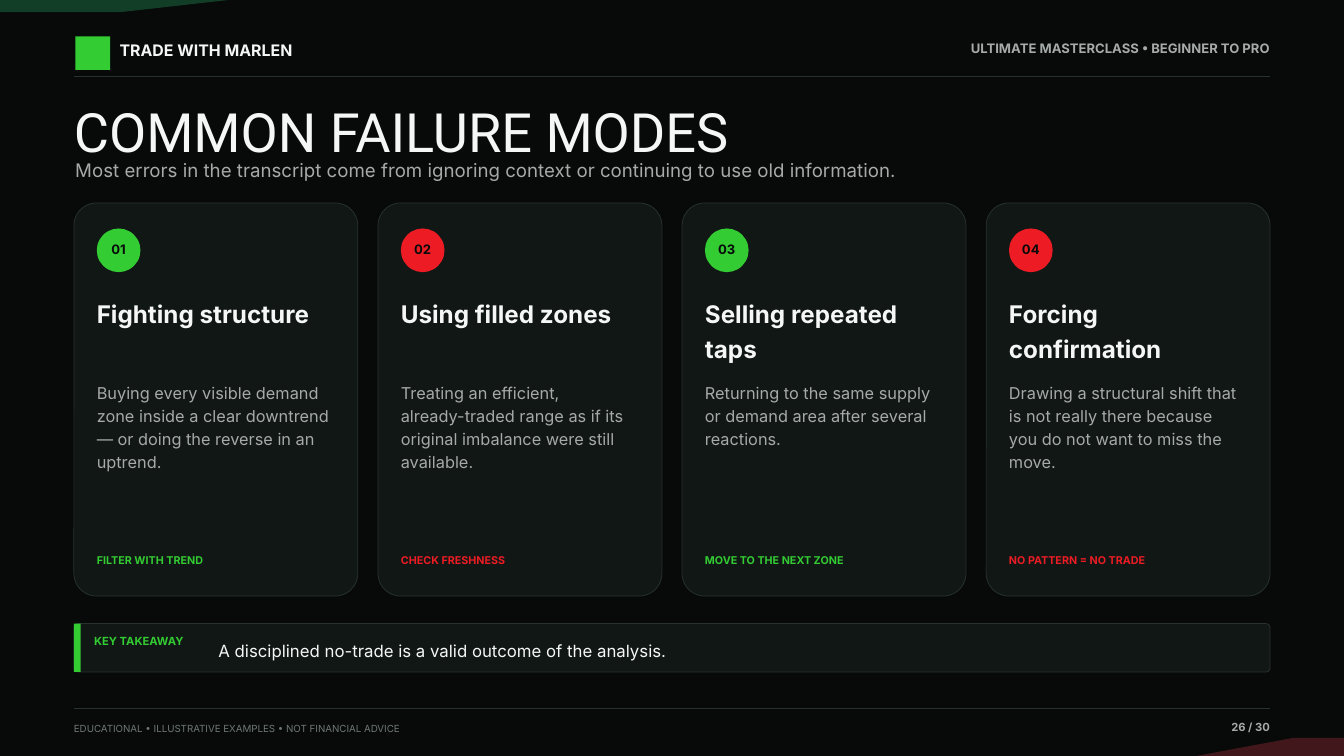
from lxml import etree
from pptx import Presentation, util as u
from pptx.dml.color import RGBColor
from pptx.enum import shapes, text
from pptx.oxml.ns import qn

COLS, ROWS = 20, 11.25
UNIT = u.Inches(1)
LEFT, RIGHT = 1.1, 18.9
WIDTH = RIGHT - LEFT
GAP, PAD = 0.3, 0.34
CARD_W = (WIDTH - 3 * GAP) / 4
CARD_TOP, CARD_H = 3.02, 5.85

INK, PANEL, RULE = "070A09", "111715", "28332E"
WHITE, GREY, DIM = "F5F7F6", "A6AAA8", "6F7873"
GREEN, RED = "33CC33", "ED1C24"
ALIGN, KIND = text.PP_ALIGN, shapes.MSO_SHAPE

CARDS = [
    ("Fighting structure",
     "Buying every visible demand\nzone inside a clear downtrend\n— or doing the reverse in an\nuptrend.",
     "FILTER WITH TREND"),
    ("Using filled zones",
     "Treating an efficient,\nalready-traded range as if its\noriginal imbalance were still\navailable.",
     "CHECK FRESHNESS"),
    ("Selling repeated\ntaps",
     "Returning to the same supply\nor demand area after several\nreactions.",
     "MOVE TO THE NEXT ZONE"),
    ("Forcing\nconfirmation",
     "Drawing a structural shift that\nis not really there because\nyou do not want to miss the\nmove.",
     "NO PATTERN = NO TRADE"),
]


def grid(*cells):
    return [u.Emu(round(c * UNIT)) for c in cells]


def rgb(value):
    return RGBColor.from_string(value)


def paint(sp, fill, line=None):
    sp.shadow.inherit = False
    sp.fill.solid()
    sp.fill.fore_color.rgb = rgb(fill)
    if line:
        sp.line.color.rgb = rgb(line)
        sp.line.width = u.Pt(0.8)
    else:
        sp.line.fill.background()


def add_block(s, kind, x, y, w, h, fill, line=None):
    sp = s.shapes.add_shape(kind, *grid(x, y, w, h))
    if kind == KIND.ROUNDED_RECTANGLE:
        sp.adjustments[0] = 0.08
    paint(sp, fill, line)


def add_corner(s, points, fill):
    points = [grid(*point) for point in points]
    builder = s.shapes.build_freeform(*points[0])
    builder.add_line_segments(points[1:], close=True)
    paint(builder.convert_to_shape(), fill)


def add_rule(s, y):
    c = s.shapes.add_connector(shapes.MSO_CONNECTOR.STRAIGHT, *grid(LEFT, y, RIGHT, y))
    c.line.color.rgb = rgb(RULE)
    c.line.width = u.Pt(0.8)
    etree.SubElement(c._element.spPr, qn("a:effectLst"))


def add_text(s, words, x, y, w, h, size, color, bold=False, align=ALIGN.LEFT,
             font="Inter", spacing=1.18, anchor=text.MSO_ANCHOR.TOP):
    tf = s.shapes.add_textbox(*grid(x, y, w, h)).text_frame
    tf.margin_left = tf.margin_right = tf.margin_top = tf.margin_bottom = 0
    tf.word_wrap = False
    tf.auto_size = text.MSO_AUTO_SIZE.SHAPE_TO_FIT_TEXT
    tf.vertical_anchor = anchor
    tf.text = words
    for p in tf.paragraphs:
        p.alignment = align
        p.line_spacing = spacing
        for r in p.runs:
            r.font.name = font
            r.font.size = u.Pt(size)
            r.font.bold = bold
            r.font.color.rgb = rgb(color)


def add_card(s, i, title, body, action):
    x = LEFT + i * (CARD_W + GAP)
    inner, w = x + PAD, CARD_W - 2 * PAD
    accent = RED if i % 2 else GREEN
    add_block(s, KIND.ROUNDED_RECTANGLE, x, CARD_TOP, CARD_W, CARD_H, PANEL, RULE)
    add_block(s, KIND.OVAL, inner, 3.4, 0.65, 0.65, accent)
    add_text(s, f"{i + 1:02}", inner + 0.02, 3.55, 0.61, 0.25, 14, INK, True, ALIGN.CENTER)
    add_text(s, title, inner, 4.38, w, 1.02, 26, WHITE, True)
    add_text(s, body, inner, 5.65, w, 2.3, 17.5, GREY)
    add_text(s, action, inner, 8.2, w, 0.3, 11.5, accent, True)


def add_frame(s):
    add_block(s, KIND.RECTANGLE, 0, 0, COLS, ROWS, INK)
    add_corner(s, [(0, 0), (3.4, 0), (1.8, 0.18), (0, 0.18)], "123D26")
    add_corner(s, [(COLS, ROWS), (17.8, ROWS), (19.25, 10.98), (COLS, 10.98)], "42171B")
    add_block(s, KIND.RECTANGLE, 1.12, 0.54, 0.52, 0.5, GREEN)
    add_text(s, "TRADE WITH MARLEN", 1.78, 0.56, 3.9, 0.34, 17, WHITE, True)
    add_text(s, "ULTIMATE MASTERCLASS • BEGINNER TO PRO", RIGHT - 4.9, 0.56, 4.9, 0.32,
             14, GREY, True, ALIGN.RIGHT)
    add_rule(s, 1.13)
    add_rule(s, 10.54)
    add_text(s, "EDUCATIONAL • ILLUSTRATIVE EXAMPLES • NOT FINANCIAL ADVICE",
             LEFT, 10.72, 8, 0.25, 10.5, DIM)
    add_text(s, "26 / 30", RIGHT - 1.7, 10.68, 1.7, 0.28, 12, GREY, True, ALIGN.RIGHT)


def add_takeaway(s):
    y, h = 9.28, 0.72
    add_block(s, KIND.ROUNDED_RECTANGLE, LEFT, y, WIDTH, h, PANEL, RULE)
    add_block(s, KIND.RECTANGLE, LEFT, y, 0.1, h, GREEN)
    add_text(s, "KEY TAKEAWAY", LEFT + 0.3, 9.41, 1.85, 0.26, 12, GREEN, True)
    add_text(s, "A disciplined no-trade is a valid outcome of the analysis.",
             3.25, 9.38, 15.38, 0.56, 18, WHITE, anchor=text.MSO_ANCHOR.MIDDLE)


def main():
    prs = Presentation()
    prs.slide_width, prs.slide_height = grid(COLS, ROWS)
    s = prs.slides.add_slide(prs.slide_layouts[6])
    add_frame(s)
    add_text(s, "COMMON FAILURE MODES", LEFT, 1.46, WIDTH, 0.88, 58, WHITE,
             font="Roboto", spacing=1.0)
    add_text(s, "Most errors in the transcript come from ignoring context or continuing to use old information.",
             LEFT + 0.02, 2.3, 17.2, 0.43, 20, GREY)
    for i, card in enumerate(CARDS):
        add_card(s, i, *card)
    add_takeaway(s)
    prs.save("out.pptx")


if __name__ == "__main__":
    main()
